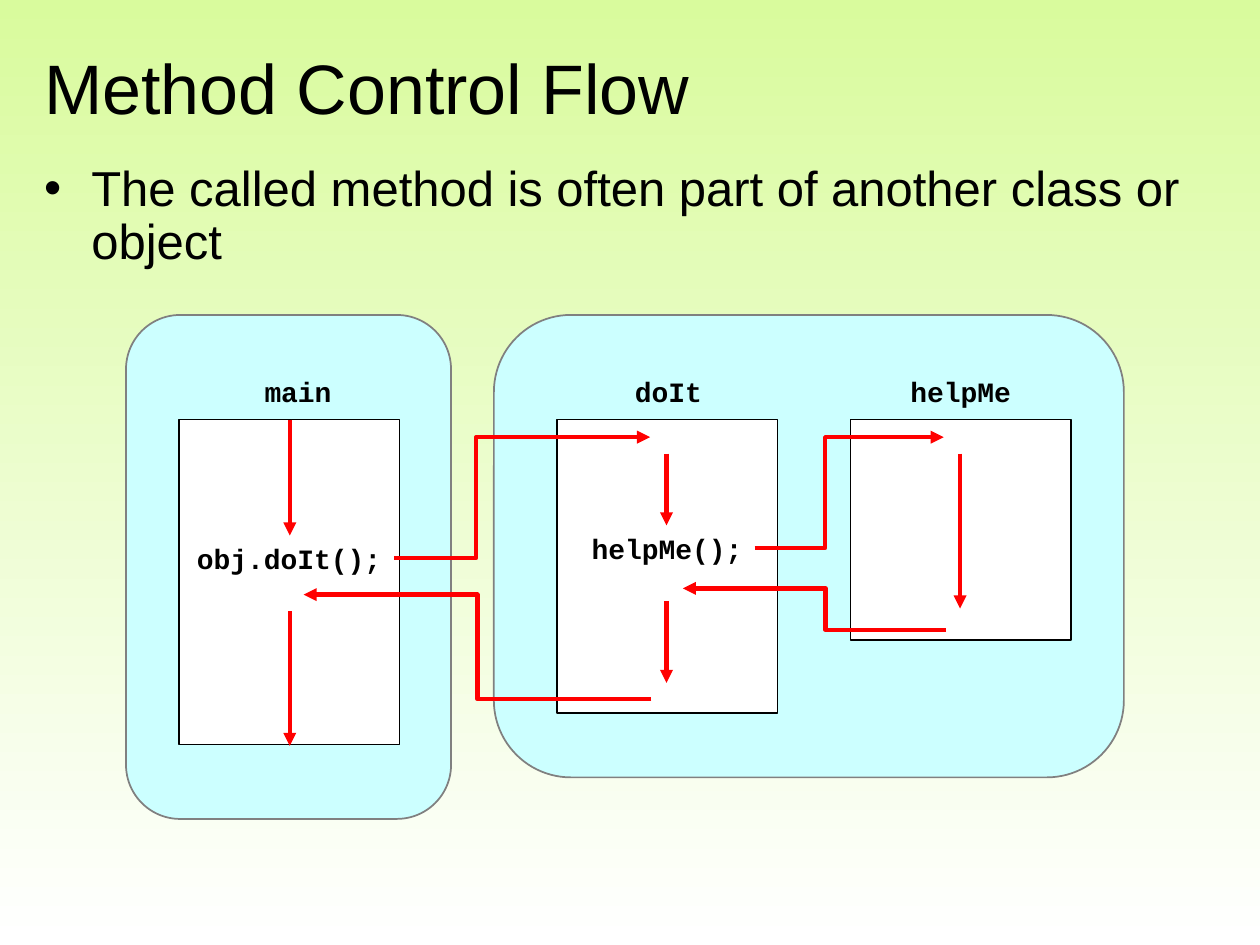
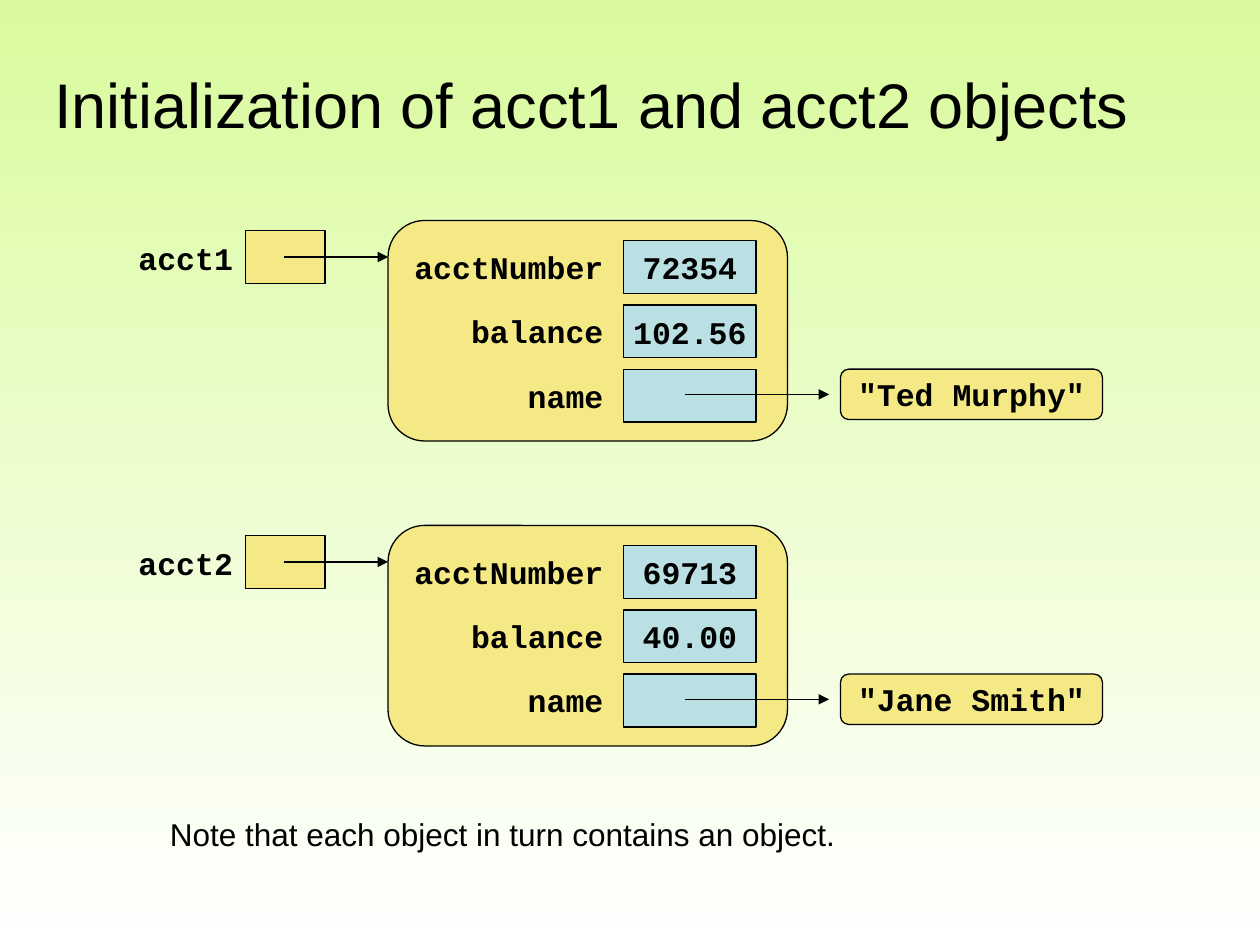
from lxml import etree
from pptx import Presentation
from pptx.dml.color import RGBColor
from pptx.enum import shapes as kinds, text as t
from pptx.oxml.ns import qn
from pptx.util import Inches, Pt

BLACK = RGBColor(0x00, 0x00, 0x00)
WHITE = RGBColor(0xFF, 0xFF, 0xFF)
GRAY = RGBColor(0x80, 0x80, 0x80)
RED = RGBColor(0xFF, 0x00, 0x00)
LIME = RGBColor(0xD9, 0xFB, 0x9D)
CYAN = RGBColor(0xCC, 0xFF, 0xFF)
YELLOW = RGBColor(0xF5, 0xE9, 0x85)
TEAL = RGBColor(0xBB, 0xE0, 0xE3)

BODY_FONT = "Arial"
CODE_FONT = "Courier New"

RECTANGLE = kinds.MSO_SHAPE.RECTANGLE
ROUNDED = kinds.MSO_SHAPE.ROUNDED_RECTANGLE
CLASS_SHAPE = kinds.MSO_SHAPE.FLOWCHART_ALTERNATE_PROCESS


# Shared parts
def style_text(frame, text, size, font=BODY_FONT, bold=False, align=t.PP_ALIGN.LEFT):
    frame.text = text
    paragraph = frame.paragraphs[0]
    paragraph.alignment = align
    paragraph.font.name = font
    paragraph.font.size = Pt(size)
    paragraph.font.bold = bold
    paragraph.font.color.rgb = BLACK
    return paragraph


def place(shape, left, top, width, height):
    shape.left, shape.top = Inches(left), Inches(top)
    shape.width, shape.height = Inches(width), Inches(height)


def set_background(presentation):
    fill = presentation.slide_master.background.fill
    fill.gradient()
    fill.gradient_angle = 270
    for stop, position, color in zip(fill.gradient_stops, (0, 1), (LIME, WHITE)):
        stop.position = position
        stop.color.rgb = color


def add_titled_slide(presentation, layout, title, size, left, top):
    slide = presentation.slides.add_slide(presentation.slide_layouts.get_by_name(layout))
    place(slide.shapes.title, left, top, 9.5, 0.78)
    frame = slide.shapes.title.text_frame
    style_text(frame, title, size)
    frame.vertical_anchor = t.MSO_ANCHOR.MIDDLE
    frame.auto_size = t.MSO_AUTO_SIZE.NONE
    return slide


def add_box(shapes, kind, left, top, width, height, fill, line=BLACK, weight=0.75, text=""):
    box = shapes.add_shape(kind, Inches(left), Inches(top), Inches(width), Inches(height))
    box.shadow.inherit = False
    box.fill.solid()
    box.fill.fore_color.rgb = fill
    box.line.color.rgb = line
    box.line.width = Pt(weight)
    if text:
        box.text_frame.word_wrap = False
        box.text_frame.vertical_anchor = t.MSO_ANCHOR.MIDDLE
        style_text(box.text_frame, text, 18, CODE_FONT, True, t.PP_ALIGN.CENTER)
    return box


def code_width(text, size):
    """Width of monospaced text (0.6 em a letter) with its insets, in inches."""
    return len(text) * size * 0.6 / 72 + 0.2


def add_label(shapes, left, top, width, height, text, size, **style):
    label = shapes.add_textbox(Inches(left), Inches(top), Inches(width), Inches(height))
    label.text_frame.word_wrap = False
    label.text_frame.auto_size = t.MSO_AUTO_SIZE.SHAPE_TO_FIT_TEXT
    style_text(label.text_frame, text, size, **style)
    return label


def add_arrow(shapes, start, end, color, weight, bend=None):
    """Arrow from start to end; bend is the x of the vertical leg of an elbow."""
    kind = kinds.MSO_CONNECTOR.STRAIGHT if bend is None else kinds.MSO_CONNECTOR.ELBOW
    arrow = shapes.add_connector(kind, *map(Inches, (*start, *end)))
    arrow.line.color.rgb = color
    arrow.line.width = Pt(weight)
    properties = arrow.element.spPr
    etree.SubElement(properties.find(qn("a:ln")), qn("a:tailEnd"), type="triangle")
    etree.SubElement(properties, qn("a:effectLst"))
    if bend is not None:
        share = round((bend - start[0]) / (end[0] - start[0]) * 100000)
        guides = properties.find(qn("a:prstGeom")).find(qn("a:avLst"))
        etree.SubElement(guides, qn("a:gd"), name="adj1", fmla=f"val {share}")


# Slide 1: classes, methods and the flow of control
def add_class(slide, left, top, width, height, methods):
    shapes = slide.shapes.add_group_shape().shapes
    add_box(shapes, CLASS_SHAPE, left, top, width, height, CYAN, GRAY, 1)
    for name, offset, method_height, name_shift, call, call_top in methods:
        add_box(shapes, RECTANGLE, left + offset, top + 0.83, 1.75, method_height, WHITE, weight=1)
        center = left + offset + 0.875
        for text, middle, label_top in ((name, center + name_shift, 0.42), (call, center, call_top)):
            if text:
                width = code_width(text, 16)
                label = add_label(shapes, middle - width / 2, top + label_top, width, 0.37, text, 16,
                                  font=CODE_FONT, bold=True, align=t.PP_ALIGN.CENTER)
                label.text_frame.vertical_anchor = t.MSO_ANCHOR.MIDDLE


def add_control_flow(slide, left, top):
    # Steps inside a method: x, start y, end y
    for x, start, end in ((1.3, 0.83, 1.75), (1.3, 2.35, 3.42), (4.29, 1.1, 1.67),
                          (4.29, 2.27, 2.92), (6.62, 1.1, 2.33)):
        add_arrow(slide.shapes, (left + x, top + start), (left + x, top + end), RED, 2.5)
    # Calls and returns: start, x of the bend, end
    for (x1, y1), bend, (x2, y2) in (((2.13, 1.93), 2.78, (4.16, 0.97)),
                                     ((4.17, 3.05), 2.79, (1.41, 2.22)),
                                     ((4.99, 1.85), 5.55, (6.49, 0.97)),
                                     ((6.51, 2.5), 5.55, (4.42, 2.17))):
        add_arrow(slide.shapes, (left + x1, top + y1), (left + x2, top + y2), RED, 2.5, left + bend)


def build_control_flow_slide(presentation):
    slide = add_titled_slide(presentation, "Title and Content", "Method Control Flow", 40, 0.25, 0.3)
    body = slide.placeholders[1]
    place(body, 0.25, 1.25, 9.33, 1)
    paragraph = style_text(body.text_frame,
                           "The called method is often part of another class or object", 28)
    paragraph.line_spacing = 0.9
    body.text_frame.auto_size = t.MSO_AUTO_SIZE.NONE

    # Methods: name, left offset, height, shift of the name, call, top of the call
    add_class(slide, 3.92, 2.5, 5, 3.67, [("doIt", 0.5, 2.33, 0.01, "helpMe();", 1.67),
                                          ("helpMe", 2.83, 1.75, 0, "", 0)])
    add_class(slide, 1, 2.5, 2.58, 4, [("main", 0.42, 2.58, 0.07, "obj.doIt();", 1.75)])
    add_control_flow(slide, 1, 2.5)


# Slide 2: account variables and the objects they refer to
def add_account(slide, left, top, variable, number, balance, owner):
    shapes = slide.shapes.add_group_shape().shapes

    def add_code(right, label_top, text):
        width = code_width(text, 18)
        add_label(shapes, right - width, label_top, width, 0.4, text, 18, font=CODE_FONT, bold=True)

    # Variable and object
    add_box(shapes, RECTANGLE, left + 0.95, top + 0.08, 0.63, 0.42, YELLOW)
    add_code(left + 0.95, top + 0.1, variable)
    add_box(shapes, ROUNDED, left + 2.08, top, 3.17, 1.75, YELLOW)
    add_arrow(shapes, (left + 1.25, top + 0.29), (left + 2.08, top + 0.29), BLACK, 0.75)

    # Fields
    fields = (("acctNumber", number), ("balance", balance), ("name", ""))
    for row, (field, value) in enumerate(fields):
        row_top = top + 0.16 + row * 0.51
        add_box(shapes, RECTANGLE, left + 3.95, row_top, 1.05, 0.42, TEAL, text=value)
        add_code(left + 3.89, row_top + 0.01, field)

    # Owner's name
    add_box(shapes, ROUNDED, left + 5.67, top + 1.18, 2.08, 0.4, YELLOW, text=owner)
    add_arrow(shapes, (left + 4.44, top + 1.38), (left + 5.58, top + 1.38), BLACK, 0.75)


def build_accounts_slide(presentation):
    slide = add_titled_slide(presentation, "Title Only",
                             "Initialization of acct1 and acct2 objects", 36, 0.33, 0.43)
    accounts = (("acct1", "72354", "102.56", '"Ted Murphy"'),
                ("acct2", "69713", "40.00", '"Jane Smith"'))
    for index, account in enumerate(accounts):
        add_account(slide, 1, 1.75 + index * 2.42, *account)
    add_label(slide.shapes, 1.25, 6.42, 5.53, 0.4,
              "Note that each object in turn contains an object.", 18)


def main():
    presentation = Presentation()
    presentation.slide_width, presentation.slide_height = Inches(10), Inches(7.5)
    set_background(presentation)
    build_control_flow_slide(presentation)
    build_accounts_slide(presentation)
    presentation.save("out.pptx")


if __name__ == "__main__":
    main()
